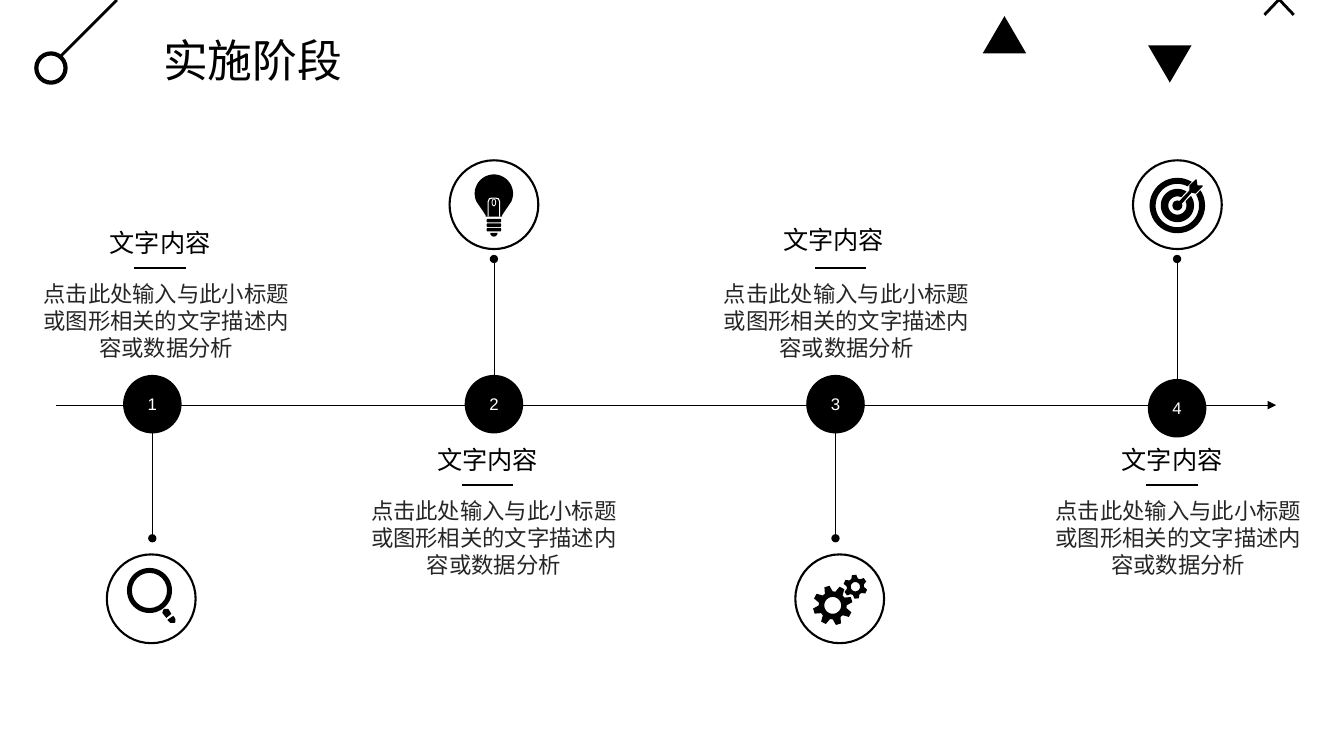
from dataclasses import dataclass
from math import asin, cos, degrees, radians, sin

from lxml import etree
from pptx import Presentation
from pptx.dml.color import RGBColor
from pptx.enum.shapes import MSO_CONNECTOR, MSO_SHAPE
from pptx.enum.text import MSO_ANCHOR, MSO_AUTO_SIZE, PP_ALIGN
from pptx.oxml.ns import qn
from pptx.util import Pt

STRAIGHT = MSO_CONNECTOR.STRAIGHT
OVAL, TRIANGLE, DONUT = MSO_SHAPE.OVAL, MSO_SHAPE.ISOSCELES_TRIANGLE, MSO_SHAPE.DONUT
CROSS, BAR = MSO_SHAPE.MATH_MULTIPLY, MSO_SHAPE.ROUNDED_RECTANGLE
TOP, MIDDLE = MSO_ANCHOR.TOP, MSO_ANCHOR.MIDDLE
LEFT, CENTER = PP_ALIGN.LEFT, PP_ALIGN.CENTER
GROW = MSO_AUTO_SIZE.SHAPE_TO_FIT_TEXT

HEADING = "文字内容"
DESCRIPTION = "点击此处输入与此小标题或图形相关的文字描述内容或数据分析"
FIRST_X, STAGE_STEP, AXIS_Y = 108.8, 244, 289.4


@dataclass(frozen=True)
class Theme:
    """Colours, font and type sizes of the slide."""
    ink: RGBColor = RGBColor(0, 0, 0)
    paper: RGBColor = RGBColor(255, 255, 255)
    prose: RGBColor = RGBColor(0x26, 0x26, 0x26)
    font: str = "Arial"
    title: int = 32
    heading: int = 18
    body: int = 16
    number: int = 12


def apply(target, values):
    for name, value in values.items():
        setattr(target, name, value)


def polar(radius, angle, centre=(0, 0)):
    turn = radians(angle)
    return centre[0] + radius * cos(turn), centre[1] + radius * sin(turn)


def arc(radius, start, end, centre=(0, 0), steps=48):
    return [polar(radius, start + (end - start) * i / steps, centre) for i in range(steps + 1)]


def broken_ring(outer, inner, gap, direction=-46):
    def side(radius):
        half = degrees(asin(gap / radius))
        return arc(radius, direction + half, direction + 360 - half)
    return side(outer) + side(inner)[::-1]


def gear(tip, root, teeth, phase):
    pitch = 360 / teeth
    profile = ((root, -0.37), (tip, -0.17), (tip, 0.17), (root, 0.37))
    return [polar(radius, phase + (tooth + share) * pitch)
            for tooth in range(teeth) for radius, share in profile]


class Canvas:
    """Draws styled elements on one slide, measured in points."""

    def __init__(self, slide, theme):
        self.shapes, self.theme = slide.shapes, theme

    def paint(self, shape, fill, line, weight):
        shape.shadow.inherit = False
        for part, colour in ((shape.fill, fill), (shape.line.fill, line)):
            if colour is None:
                part.background()
            else:
                part.solid()
                part.fore_color.rgb = colour
        if line is not None:
            shape.line.width = Pt(weight)
        return shape

    def shape(self, kind, centre, width, height, fill=None, line=None, weight=1.5, adjust=None):
        x, y = centre
        box = map(Pt, (x - width / 2, y - height / 2, width, height))
        shape = self.paint(self.shapes.add_shape(kind, *box), fill, line, weight)
        if adjust is not None:
            shape.adjustments[0] = adjust
        return shape

    def outline(self, centre, *contours, fill=None, line=None, weight=1, close=True):
        x, y = centre
        placed = [[(Pt(x + dx), Pt(y + dy)) for dx, dy in contour] for contour in contours]
        builder = self.shapes.build_freeform(*placed[0][0])
        builder.add_line_segments(placed[0][1:], close=close)
        for contour in placed[1:]:
            builder.move_to(*contour[0])
            builder.add_line_segments(contour[1:], close=close)
        return self.paint(builder.convert_to_shape(), fill, line, weight)

    def line(self, start, end, weight, **ends):
        connector = self.shapes.add_connector(STRAIGHT, *map(Pt, (*start, *end)))
        connector.line.color.rgb = self.theme.ink
        connector.line.width = Pt(weight)
        properties = connector._element.spPr
        for tag, kind in ends.items():
            etree.SubElement(properties.find(qn("a:ln")), qn(f"a:{tag}"), type=kind)
        etree.SubElement(properties, qn("a:effectLst"))

    def label(self, shape, text, size, colour, align=CENTER, anchor=MIDDLE, **frame_values):
        frame = shape.text_frame
        apply(frame, {"word_wrap": True, "vertical_anchor": anchor, **frame_values})
        paragraph = frame.paragraphs[0]
        paragraph.alignment = align
        run = paragraph.add_run()
        run.text = text
        run.font.color.rgb = colour
        apply(run.font, {"name": self.theme.font, "size": Pt(size)})
        etree.SubElement(run._r.get_or_add_rPr(), qn("a:ea"), typeface=self.theme.font)

    def text(self, box, text, size, colour, align=CENTER, anchor=TOP):
        self.label(self.shapes.add_textbox(*map(Pt, box)), text, size, colour,
                   align, anchor, auto_size=GROW)

    def caption(self, x, top, heading_shift):
        dx, dy = heading_shift
        theme = self.theme
        self.text((x - 97.9, top + 37.5, 195.8, 65.5), DESCRIPTION, theme.body, theme.prose)
        self.text((x - 80 + dx, top + dy, 151.2, 28.8), HEADING, theme.heading, theme.ink)
        self.line((x - 22.9, top + 32.4), (x + 13.9, top + 32.4), 1.5)


def draw_magnifier(canvas, centre):
    ink, (x, y) = canvas.theme.ink, centre
    canvas.shape(DONUT, (x - 1.2, y - 5.9), 32.2, 32.2, ink, adjust=0.11)
    collar = [(8.6, 7.9), (9.4, 7.2), (12.2, 7.2), (14.4, 10.8), (10.8, 13.7), (7.9, 10.1)]
    grip = [(17.3, 16.6), (16.6, 17.3), (13.7, 17.3), (11.5, 15.1), (15.8, 12.2), (17.3, 14.4)]
    for handle in (collar, grip):
        canvas.outline(centre, handle, fill=ink)


def draw_bulb(canvas, centre):
    theme, (x, y) = canvas.theme, centre
    neck = [(8, 4.3), (5.9, 7.5), (5.8, 8.6)]
    glass = neck[::-1] + arc(13.7, 25, -205, (0, -7.9)) + [(-dx, dy) for dx, dy in neck]
    canvas.outline(centre, glass, fill=theme.ink)
    wire = [(-4.1, 8.6), (-4.1, -2.2), (-3.2, -4.2), (-1.4, -4.7)]
    canvas.outline(centre, wire + [(-dx, dy) for dx, dy in wire[::-1]],
                   line=theme.paper, weight=0.8, close=False)
    canvas.shape(OVAL, (x, y - 1.6), 2.6, 5, line=theme.paper, weight=0.6)
    for thread in range(3):
        canvas.shape(BAR, (x, y + 11.4 + 3.25 * thread), 10.4, 2.5, theme.ink, adjust=0.3)
    canvas.outline(centre, arc(2.6, 0, 180, (0, 20.2)), fill=theme.ink)


def draw_gears(canvas, centre):
    x, y = centre
    for dx, dy, tip, root, hole, teeth, phase in ((11.2, -8.6, 8.6, 6.2, 3.3, 6, 24),
                                                  (-5, 4.7, 14.2, 10, 6, 8, -17)):
        canvas.outline((x + dx, y + dy), gear(tip, root, teeth, phase),
                       arc(hole, 360, 0), fill=canvas.theme.ink)


def draw_target(canvas, centre):
    ink, (x, y) = canvas.theme.ink, centre
    bullseye = (x, y + 0.6)
    for outer, inner, gap in ((19.8, 15.5, 4.3), (11.9, 6.5, 2.2)):
        canvas.outline(bullseye, broken_ring(outer, inner, gap), fill=ink)
    canvas.shape(OVAL, bullseye, 7.2, 7.2, ink)
    dart = [(8.6, -13.7), (13, -18), (13.7, -18), (14.4, -13.7), (18, -13.7), (18, -13),
            (13.7, -8.6), (13, -7.9), (10.1, -8.6), (2.2, 0.4), (0.4, -1.6), (8.6, -10.1)]
    canvas.outline(centre, dart, fill=ink)


def draw_corners(canvas):
    theme = canvas.theme
    canvas.line((41, 42.5), (83.5, 0), 2)
    canvas.shape(OVAL, (36.4, 48.6), 20.9, 20.9, theme.paper, theme.ink, 3)
    canvas.shape(TRIANGLE, (717.5, 24.8), 31, 26.6, theme.ink)
    canvas.shape(TRIANGLE, (835.6, 45.7), 31, 26.6, theme.ink).rotation = 180
    canvas.shape(CROSS, (913.7, -0.4), 40.3, 42.5, theme.ink, adjust=0.05)


def main():
    deck = Presentation()
    apply(deck, {"slide_width": Pt(960), "slide_height": Pt(540)})
    theme = Theme()
    canvas = Canvas(deck.slides.add_slide(deck.slide_layouts[6]), theme)
    draw_corners(canvas)
    canvas.text((109.4, 19.4, 560, 46), "实施阶段", theme.title, theme.ink, LEFT, MIDDLE)

    stages = (
        (draw_magnifier, 108, 118.8, (0, 0), 288.7),
        (draw_bulb, 352.8, 352.8, (0, 0), 288.7),
        (draw_gears, 599.8, 604.8, (-5, -2.2), 288.7),
        (draw_target, 841, 841.7, (0, 0), 291.6),
    )
    canvas.line((40.3, AXIS_Y), (911.5, AXIS_Y), 0.5, tailEnd="triangle")
    for index, (draw_icon, badge_x, caption_x, heading_shift, node_y) in enumerate(stages):
        x = FIRST_X + STAGE_STEP * index
        icon_below = index % 2 == 0
        stem_top, badge_y, caption_top = (288.7, 427.7, 159.1) if icon_below else (185, 146.2, 313.9)
        canvas.line((x, stem_top), (x, stem_top + 95.8), 0.5, headEnd="oval", tailEnd="oval")
        node = canvas.shape(OVAL, (x, node_y), 41.8, 41.8, theme.ink)
        canvas.label(node, str(index + 1), theme.number, theme.paper)
        canvas.caption(caption_x, caption_top, heading_shift)
        canvas.shape(OVAL, (badge_x, badge_y), 63.4, 63.4, line=theme.ink)
        draw_icon(canvas, (badge_x, badge_y))
    deck.save("out.pptx")


if __name__ == "__main__":
    main()
